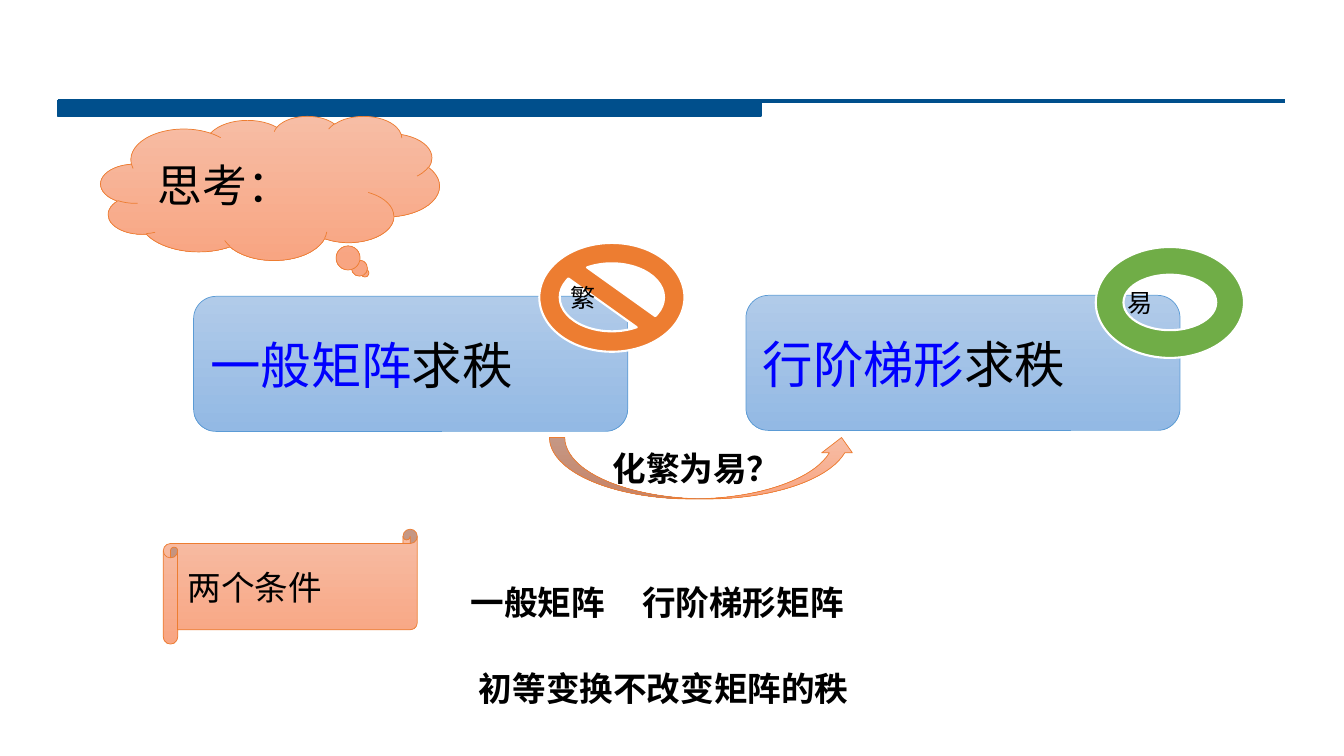
"""Build the slide on turning general matrix rank into echelon-form rank."""
from dataclasses import dataclass

from pptx import Presentation
from pptx.dml.color import RGBColor
from pptx.enum.shapes import MSO_CONNECTOR, MSO_SHAPE
from pptx.enum.text import MSO_ANCHOR, PP_ALIGN
from pptx.oxml.ns import qn
from pptx.util import Inches, Pt
from lxml import etree

STRAIGHT = MSO_CONNECTOR.STRAIGHT
RECTANGLE = MSO_SHAPE.RECTANGLE
CLOUD = MSO_SHAPE.CLOUD_CALLOUT
ROUNDED = MSO_SHAPE.ROUNDED_RECTANGLE
FORBIDDEN = MSO_SHAPE.NO_SYMBOL
RING = MSO_SHAPE.DONUT
CURVED_ARROW = MSO_SHAPE.CURVED_UP_ARROW
SCROLL = MSO_SHAPE.HORIZONTAL_SCROLL
MIDDLE = MSO_ANCHOR.MIDDLE
LEFT, JUSTIFY = PP_ALIGN.LEFT, PP_ALIGN.JUSTIFY

SLIDE_WIDTH, SLIDE_HEIGHT = Inches(13.333), Inches(7.5)


@dataclass(frozen=True)
class Theme:
    navy: str = "004F8C"
    orange: str = "ED7D31"
    green: str = "70AD47"
    blue: str = "5B9BD5"
    white: str = "FFFFFF"
    ink: str = "000000"
    accent: str = "0000FF"
    peach: tuple[str, ...] = ("F7BDA5", "F8A582")
    sky: tuple[str, ...] = ("B1CBE9", "93B9E4")
    shape_font: str = "Calibri"
    note_font: str = "DejaVu Sans"
    badge_size: int = 18
    body_size: int = 24
    thought_size: int = 32
    box_size: int = 36
    hairline: float = 0.5
    badge_line: float = 1.5
    rule_line: float = 3


THEME = Theme()


@dataclass(frozen=True)
class Area:
    """Position and size in percent of the slide."""
    left: float
    top: float
    width: float
    height: float

    def lengths(self) -> tuple[int, int, int, int]:
        return (across(self.left), down(self.top),
                across(self.width), down(self.height))


@dataclass(frozen=True)
class Span:
    text: str
    size: int
    color: str = THEME.ink
    bold: bool = False
    font: str = THEME.shape_font


@dataclass(frozen=True)
class Figure:
    kind: int
    area: Area
    fill: tuple[str, ...]
    line: str
    weight: float = THEME.hairline
    spans: tuple[Span, ...] = ()
    inset: float = 0.75
    adjustments: tuple[float, ...] = ()


@dataclass(frozen=True)
class Note:
    area: Area
    text: str
    inset: float = 0.75
    tab: float = 0


def across(percent: float) -> int:
    return round(SLIDE_WIDTH * percent / 100)


def down(percent: float) -> int:
    return round(SLIDE_HEIGHT * percent / 100)


def rank_box(left: float, top: float, subject: str) -> Figure:
    return Figure(ROUNDED, Area(left, top, 32.3, 17.87), THEME.sky, THEME.blue,
                  spans=(Span(subject, THEME.box_size, THEME.accent),
                         Span("求秩", THEME.box_size)))


def badge(kind: int, area: Area, color: str, text: str) -> Figure:
    return Figure(kind, area, (color,), THEME.white, THEME.badge_line,
                  (Span(text, THEME.badge_size),))


FIGURES = (
    Figure(RECTANGLE, Area(4.28, 13.33, 52.35, 2), (THEME.navy,), THEME.navy, 1),
    Figure(CLOUD, Area(7.5, 15.33, 25.2, 19.07), THEME.peach, THEME.orange,
           spans=(Span("思考：", THEME.thought_size),), adjustments=(0.28, 0.59)),
    rank_box(14.4, 39.2, "一般矩阵"),
    rank_box(55.5, 39.07, "行阶梯形"),
    badge(FORBIDDEN, Area(40.13, 32.13, 10.8, 14.4), THEME.orange, "繁"),
    badge(RING, Area(81.53, 32.67, 11.03, 14.67), THEME.green, "易"),
    Figure(CURVED_ARROW, Area(40.88, 57.87, 22.88, 8.13), THEME.peach, THEME.orange,
           spans=(Span("化繁为易？", THEME.body_size, bold=True),), inset=4.7),
    Figure(SCROLL, Area(12.15, 70, 18.9, 15.2), THEME.peach, THEME.orange,
           spans=(Span("两个条件", THEME.body_size),)),
)

NOTES = (
    Note(Area(34.28, 70.93, 46.05, 11.47), "一般矩阵\t行阶梯形矩阵", tab=12.75),
    Note(Area(34.28, 82.4, 57.45, 11.47), "初等变换不改变矩阵的秩", inset=1.35),
)


def add_span(para, span: Span) -> None:
    run = para.add_run()
    run.text = span.text
    run.font.name = span.font
    run.font.size = Pt(span.size)
    run.font.bold = span.bold
    run.font.color.rgb = RGBColor.from_string(span.color)


def paint(fill, colors: tuple[str, ...]) -> None:
    if len(colors) == 1:
        fill.solid()
        fill.fore_color.rgb = RGBColor.from_string(colors[0])
        return
    fill.gradient()
    fill.gradient_angle = 270
    for stop, color in zip(fill.gradient_stops, colors):
        stop.color.rgb = RGBColor.from_string(color)


def add_figure(page, figure: Figure) -> None:
    shape = page.shapes.add_shape(figure.kind, *figure.area.lengths())
    shape.shadow.inherit = False
    for index, value in enumerate(figure.adjustments):
        shape.adjustments[index] = value
    paint(shape.fill, figure.fill)
    shape.line.color.rgb = RGBColor.from_string(figure.line)
    shape.line.width = Pt(figure.weight)
    frame = shape.text_frame
    frame.vertical_anchor = MIDDLE
    frame.margin_left = across(figure.inset)
    para = frame.paragraphs[0]
    para.alignment = LEFT
    for span in figure.spans:
        add_span(para, span)


def add_note(page, note: Note) -> None:
    frame = page.shapes.add_textbox(*note.area.lengths()).text_frame
    frame.word_wrap = True
    frame.margin_left = across(note.inset)
    para = frame.paragraphs[0]
    para.alignment = JUSTIFY
    para.line_spacing = 2.0
    if note.tab:
        tabs = etree.SubElement(para._p.get_or_add_pPr(), qn("a:tabLst"))
        etree.SubElement(tabs, qn("a:tab"), pos=str(across(note.tab)), algn="l")
    add_span(para, Span(note.text, THEME.body_size, bold=True, font=THEME.note_font))


def add_rule(page) -> None:
    height = down(13.33)
    rule = page.shapes.add_connector(STRAIGHT, across(4.28), height, across(95.62), height)
    rule.line.color.rgb = RGBColor.from_string(THEME.navy)
    rule.line.width = Pt(THEME.rule_line)
    etree.SubElement(rule._element.spPr, qn("a:effectLst"))


def main() -> None:
    deck = Presentation()
    deck.slide_width, deck.slide_height = SLIDE_WIDTH, SLIDE_HEIGHT
    page = deck.slides.add_slide(deck.slide_layouts[6])
    add_rule(page)
    for figure in FIGURES:
        add_figure(page, figure)
    for note in NOTES:
        add_note(page, note)
    deck.save("out.pptx")


if __name__ == "__main__":
    main()
